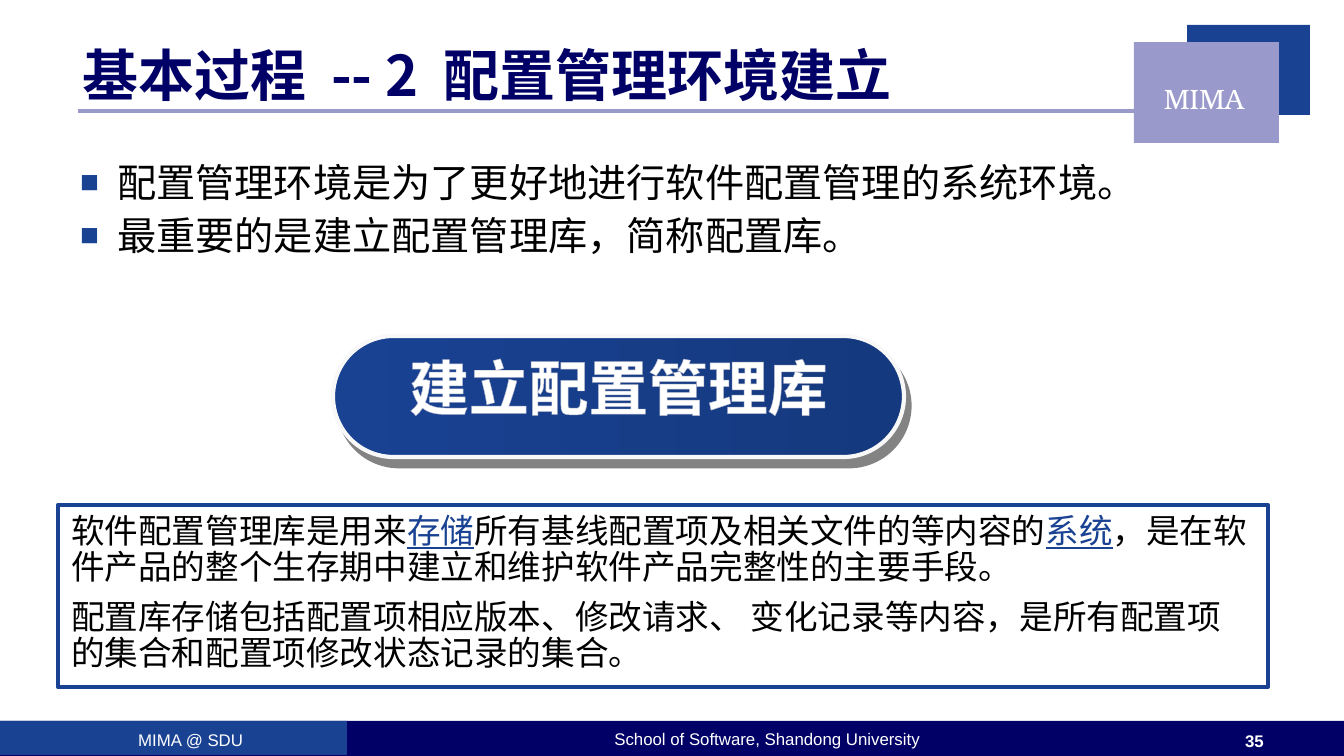
from lxml import etree
from pptx import Presentation
from pptx import util as u
from pptx.dml.color import RGBColor
from pptx.enum import shapes, text
from pptx.oxml.ns import qn

PX = 914400 / 134.4
CJK, LATIN, SERIF = "Noto Sans CJK SC", "Arial", "TeX Gyre Bonum"
COLORS = {
    "navy": "000066", "blue": "194293", "deep": "15397E", "lilac": "9999CC",
    "white": "FFFFFF", "rim": "F8F8F8", "black": "000000",
    "shadow": "080808", "outline": "ABB0C8",
}
LEFT, CENTER = text.PP_ALIGN.LEFT, text.PP_ALIGN.CENTER


def px(*lengths):
    return [u.Emu(round(length * PX)) for length in lengths]


def rgb(name):
    return RGBColor.from_string(COLORS[name])


def add_xml(parent, tag, **attributes):
    return etree.SubElement(parent, qn(tag), attributes)


def add_run(paragraph, words, size, color, font=CJK, bold=False, underline=False):
    run = paragraph.add_run()
    run.text = words
    run.font.size, run.font.name = u.Pt(size), font
    run.font.bold, run.font.underline = bold, underline
    run.font.color.rgb = rgb(color)
    add_xml(run.font._element, "a:ea", typeface=font)
    return run


def add_block(slide, kind, box, fill=None, line=None):
    block = slide.shapes.add_shape(kind, *px(*box))
    block.shadow.inherit = False
    if fill:
        block.fill.solid()
        block.fill.fore_color.rgb = rgb(fill)
    else:
        block.fill.background()
    if line:
        block.line.color.rgb = rgb(line)
        block.line.width = u.Pt(2.25)
    else:
        block.line.fill.background()
    return block


def add_text_frame(slide, box):
    frame = slide.shapes.add_textbox(*px(*box)).text_frame
    frame.word_wrap = True
    return frame


def add_label(slide, box, words, size, font=LATIN, bold=False):
    paragraph = add_text_frame(slide, box).paragraphs[0]
    paragraph.alignment = CENTER
    add_run(paragraph, words, size, "white", font, bold)


def next_paragraph(frame, index, line_height, gap):
    paragraph = frame.add_paragraph() if index else frame.paragraphs[0]
    paragraph.alignment = LEFT
    paragraph.line_spacing = u.Pt(line_height)
    paragraph.space_before = u.Pt(gap if index else 0)
    return paragraph


def add_frame_design(slide):
    rule = slide.shapes.add_connector(shapes.MSO_CONNECTOR.STRAIGHT, *px(78, 111, 1142, 111))
    rule.line.color.rgb = rgb("lilac")
    rule.line.width = u.Pt(2.25)
    add_xml(rule._element.spPr, "a:effectLst")
    for box, fill in (
        ((0, 721, 1344, 35), "navy"),
        ((1187, 25, 123, 90), "blue"),
        ((1134, 42, 145, 101), "lilac"),
        ((0, 721, 347, 34), "blue"),
    ):
        add_block(slide, shapes.MSO_SHAPE.RECTANGLE, box, fill)
    add_label(slide, (1120, 75, 168, 47), "MIMA", 15, SERIF)
    add_label(slide, (34, 723, 313, 19), "MIMA @ SDU", 9)
    add_label(slide, (386, 722, 762, 28), "School of Software, Shandong University", 9)
    add_label(slide, (1223, 724, 63, 20), "35", 9, bold=True)


def set_title(slide, parts):
    """Write the parts in one line, with widened spaces between them."""
    title = slide.shapes.title
    title.left, title.top, title.width, title.height = px(69, 38, 1087, 73)
    frame = title.text_frame
    frame.word_wrap = True
    frame.auto_size = text.MSO_AUTO_SIZE.NONE
    frame.vertical_anchor = text.MSO_ANCHOR.MIDDLE
    paragraph = frame.paragraphs[0]
    paragraph.alignment = LEFT
    for index, part in enumerate(parts):
        if index:
            space = add_run(paragraph, " ", 30, "navy", bold=True)
            space.font._element.set("spc", "650")
        add_run(paragraph, part, 30, "navy", bold=True)


def add_bullets(slide, box, points):
    frame = add_text_frame(slide, box)
    for index, point in enumerate(points):
        paragraph = next_paragraph(frame, index, 25, 3.4)
        properties = paragraph._p.get_or_add_pPr()
        indent = px(37)[0]
        properties.set("marL", str(indent))
        properties.set("indent", str(-indent))
        add_xml(add_xml(properties, "a:buClr"), "a:srgbClr", val=COLORS["blue"])
        add_xml(properties, "a:buSzPct", val="80000")
        add_xml(properties, "a:buFont", typeface=LATIN)
        add_xml(properties, "a:buChar", char="■")
        add_run(paragraph, point, 21, "black")


def add_definition(slide, box, paragraphs):
    """Add the bordered box; each run is a pair of words and whether they are a key term."""
    frame = add_block(slide, shapes.MSO_SHAPE.RECTANGLE, box, line="blue").text_frame
    frame.word_wrap = True
    frame.vertical_anchor = text.MSO_ANCHOR.TOP
    frame.margin_top, frame.margin_right = px(9, 16)
    for index, runs in enumerate(paragraphs):
        paragraph = next_paragraph(frame, index, 19.3, 7.5)
        for words, is_term in runs:
            add_run(paragraph, words, 18, "blue" if is_term else "black", underline=is_term)


def add_pill(slide, box, label_box, words):
    pill = add_block(slide, shapes.MSO_SHAPE.ROUNDED_RECTANGLE, box, "blue", "rim")
    pill.adjustments[0] = 0.5
    pill.fill.gradient()
    pill.fill.gradient_angle = 0
    for stop, color, position in zip(pill.fill.gradient_stops, ("blue", "deep"), (0, 1)):
        stop.color.rgb = rgb(color)
        stop.position = position
    effects = pill._element.spPr.find(qn("a:effectLst"))
    shadow = add_xml(effects, "a:outerShdw", blurRad="0", dist=str(u.Pt(5.8)),
                     dir=str(59 * 60000), algn="ctr", rotWithShape="0")
    shade = add_xml(shadow, "a:srgbClr", val=COLORS["shadow"])
    add_xml(shade, "a:alpha", val="50000")

    paragraph = add_text_frame(slide, label_box).paragraphs[0]
    properties = add_run(paragraph, words, 32, "white", bold=True).font._element
    outline = add_xml(properties, "a:ln", w=str(u.Pt(0.8)))
    add_xml(add_xml(outline, "a:solidFill"), "a:srgbClr", val=COLORS["outline"])
    properties.insert(0, outline)


def main():
    deck = Presentation()
    deck.slide_width, deck.slide_height = px(1344, 756)
    slide = deck.slides.add_slide(deck.slide_layouts[5])
    add_frame_design(slide)
    set_title(slide, ("基本过程", "-- 2", "配置管理环境建立"))
    add_bullets(slide, (67, 152, 1210, 523), (
        "配置管理环境是为了更好地进行软件配置管理的系统环境。",
        "最重要的是建立配置管理库，简称配置库。",
    ))
    add_definition(slide, (58, 505, 1210, 182), (
        (
            ("软件配置管理库是用来", False),
            ("存储", True),
            ("所有基线配置项及相关文件的等内容的", False),
            ("系统", True),
            ("，是在软件产品的整个生存期中建立和维护软件产品完整性的主要手段。", False),
        ),
        (
            ("配置库存储包括配置项相应版本、修改请求、 变化记录等内容，"
             "是所有配置项的集合和配置项修改状态记录的集合。", False),
        ),
    ))
    add_pill(slide, (333, 336, 571, 121), (396, 344, 522, 100), "建立配置管理库")
    deck.save("out.pptx")


if __name__ == "__main__":
    main()
